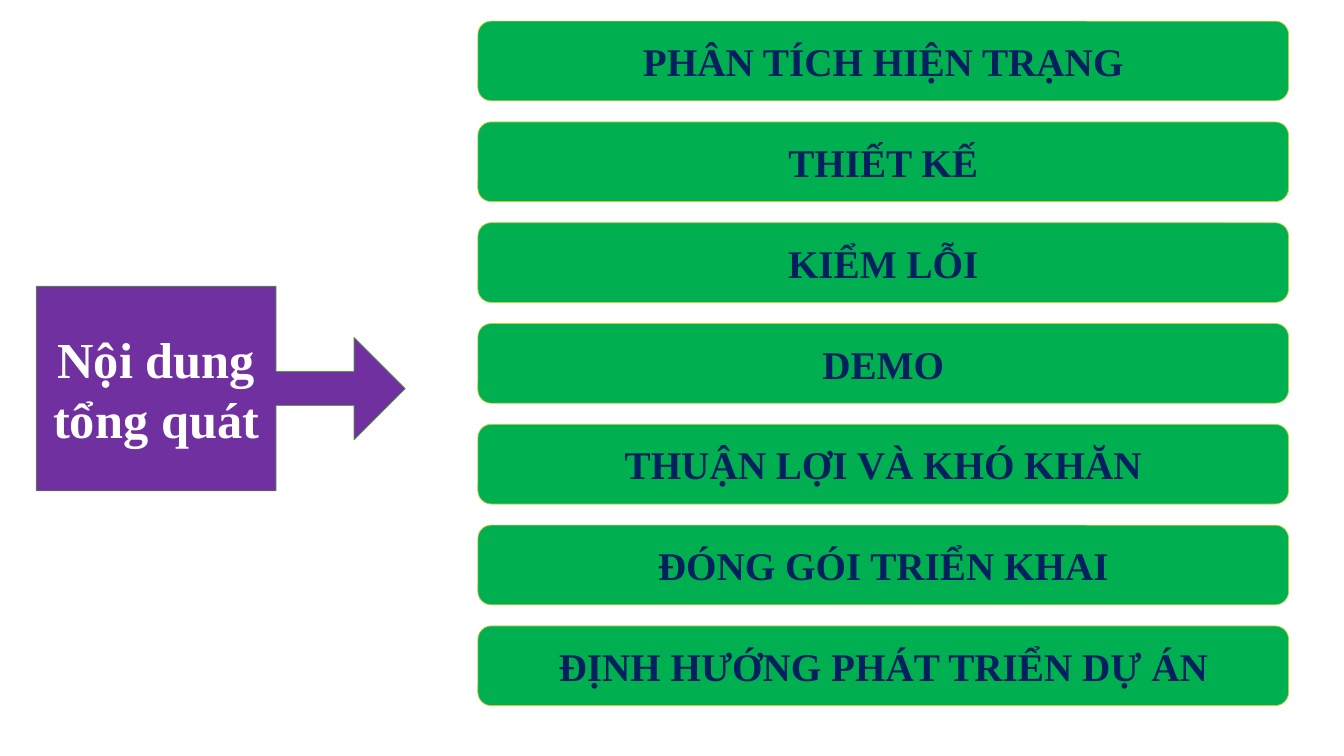
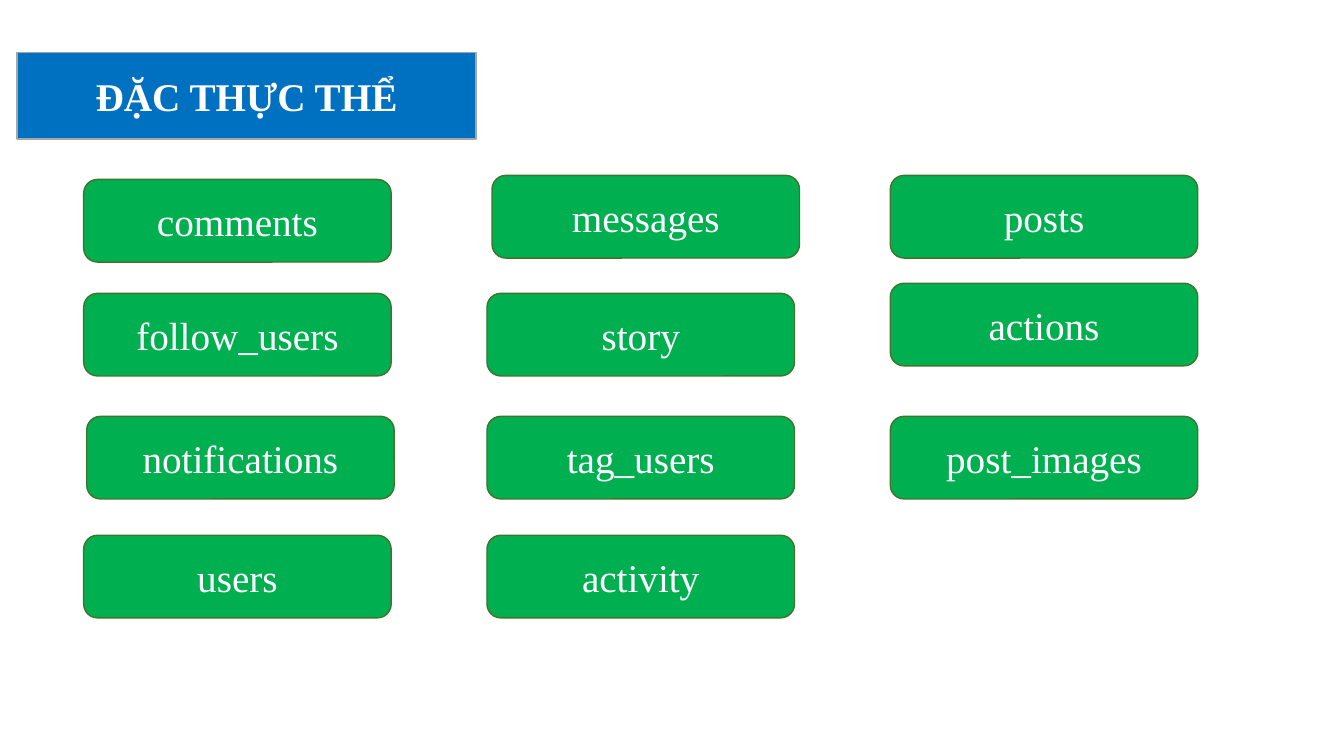
"""Build an overview slide and an entity slide."""
from dataclasses import dataclass

from pptx import Presentation
from pptx.dml.color import RGBColor
from pptx.enum.shapes import MSO_SHAPE
from pptx.enum.text import MSO_ANCHOR, MSO_AUTO_SIZE, PP_ALIGN
from pptx.util import Emu, Pt

EMU_PER_PX = 9144
TITLE_ONLY, BLANK = 5, 6


@dataclass(frozen=True)
class BoxStyle:
    """Colours and type of one kind of box."""
    fill: str
    line: str
    line_width: float
    text: str
    size: int
    bold: bool


@dataclass(frozen=True)
class Theme:
    """Font and box styles shared by the slides."""
    font: str = "Times New Roman"
    callout: BoxStyle = BoxStyle("7030A0", "549E39", 0.5, "FFFFFF", 36, True)
    topic: BoxStyle = BoxStyle("00B050", "C0CF3A", 0.5, "002060", 28, True)
    title: BoxStyle = BoxStyle("0070C0", "A6A6A6", 1, "FFFFFF", 28, True)
    entity: BoxStyle = BoxStyle("00B050", "3E752A", 1, "FFFFFF", 28, False)


THEME = Theme()

TOPICS = (
    "PHÂN TÍCH HIỆN TRẠNG",
    "THIẾT KẾ",
    "KIỂM LỖI",
    "DEMO",
    "THUẬN LỢI VÀ KHÓ KHĂN",
    "ĐÓNG GÓI TRIỂN KHAI",
    "ĐỊNH HƯỚNG PHÁT TRIỂN DỰ ÁN",
)
TOPIC_TOP, TOPIC_PITCH = 21, 100

ENTITY_COLUMNS = (
    ("comments", "follow_users", "notifications", "users"),
    ("messages", "story", "tag_users", "activity"),
    ("posts", "actions", "post_images"),
)
ENTITY_LEFT, ENTITY_PITCH = 83, 400
ENTITY_TOPS = (174, 291, 413, 531)
ENTITY_NUDGES = {
    "comments": (0, 4),
    "notifications": (3, 0),
    "messages": (5, 0),
    "actions": (0, -10),
}


def px(length):
    """Turn pixels into EMU."""
    return Emu(length * EMU_PER_PX)


def style_box(box, text, style):
    """Write centred text in a box and apply a style."""
    box.fill.solid()
    box.fill.fore_color.rgb = RGBColor.from_string(style.fill)
    box.line.color.rgb = RGBColor.from_string(style.line)
    box.line.width = Pt(style.line_width)
    frame = box.text_frame
    frame.text = text
    frame.word_wrap = True
    frame.auto_size = MSO_AUTO_SIZE.NONE
    frame.vertical_anchor = MSO_ANCHOR.MIDDLE
    paragraph = frame.paragraphs[0]
    paragraph.alignment = PP_ALIGN.CENTER
    paragraph.font.name = THEME.font
    paragraph.font.size = Pt(style.size)
    paragraph.font.bold = style.bold
    paragraph.font.color.rgb = RGBColor.from_string(style.text)


def add_box(page, kind, bounds, text, style):
    """Add a preset shape with styled text."""
    box = page.shapes.add_shape(kind, *map(px, bounds))
    box.shadow.inherit = False
    style_box(box, text, style)
    return box


def set_title(page, bounds, text):
    """Move and style the title placeholder."""
    title = page.shapes.title
    title.left, title.top, title.width, title.height = map(px, bounds)
    style_box(title, text, THEME.title)


def build_overview(deck):
    """Add the callout and its stack of topics."""
    page = deck.slides.add_slide(deck.slide_layouts[BLANK])
    callout = add_box(page, MSO_SHAPE.RIGHT_ARROW_CALLOUT, (36, 284, 366, 203),
                      "Nội dung tổng quát", THEME.callout)
    for index, value in enumerate((0.167, 0.25, 0.25, 0.65)):
        callout.adjustments[index] = value
    for row, topic in enumerate(TOPICS):
        bounds = (474, TOPIC_TOP + row * TOPIC_PITCH, 804, 79)
        add_box(page, MSO_SHAPE.ROUNDED_RECTANGLE, bounds, topic, THEME.topic)


def build_entities(deck):
    """Add the title and the columns of entities."""
    page = deck.slides.add_slide(deck.slide_layouts[TITLE_ONLY])
    set_title(page, (17, 52, 455, 86), "ĐẶC THỰC THỂ")
    for column, names in enumerate(ENTITY_COLUMNS):
        left = ENTITY_LEFT + column * ENTITY_PITCH
        for name, top in zip(names, ENTITY_TOPS):
            across, down = ENTITY_NUDGES.get(name, (0, 0))
            bounds = (left + across, top + down, 305, 82)
            add_box(page, MSO_SHAPE.ROUNDED_RECTANGLE, bounds, name, THEME.entity)


def main():
    """Build and save the deck."""
    deck = Presentation()
    deck.slide_width, deck.slide_height = px(1333), px(750)
    build_overview(deck)
    build_entities(deck)
    deck.save("out.pptx")


if __name__ == "__main__":
    main()
